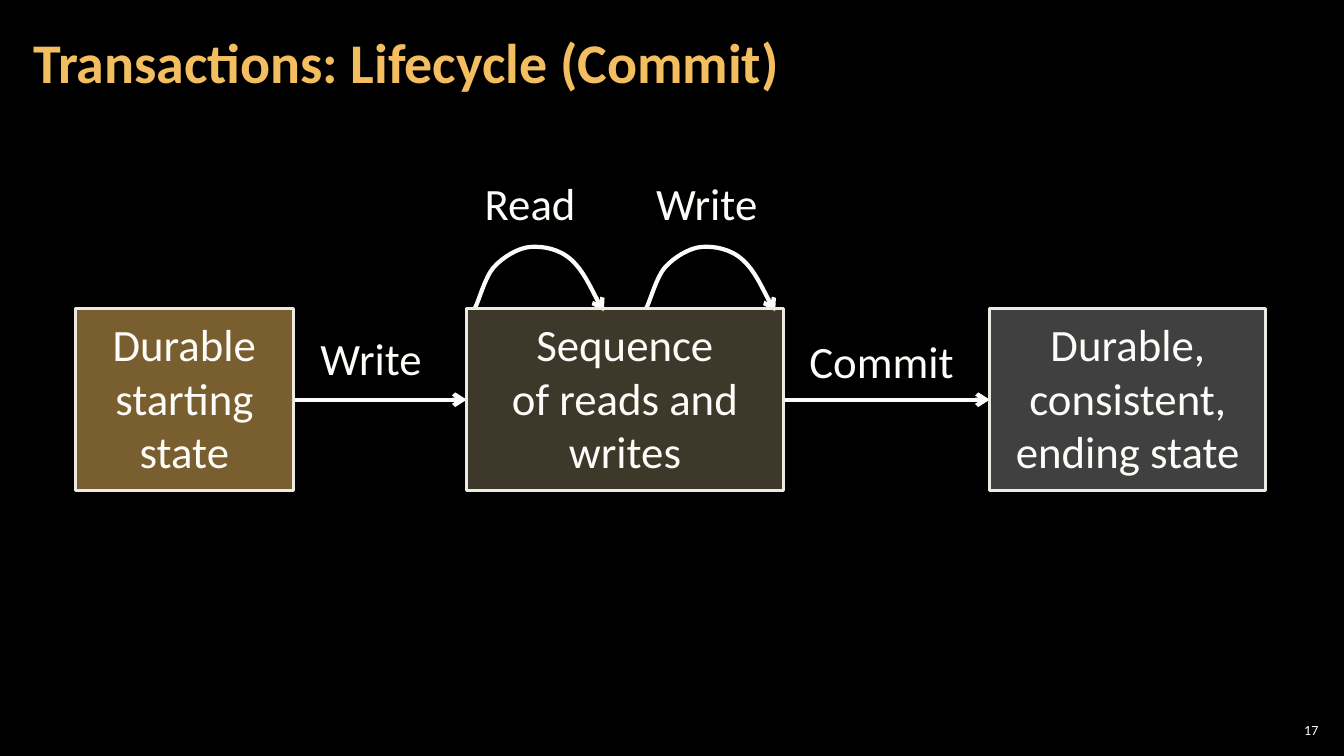
from lxml import etree
from pptx import Presentation
from pptx.dml.color import RGBColor
from pptx.enum.shapes import MSO_CONNECTOR, MSO_SHAPE
from pptx.enum.text import MSO_ANCHOR, PP_ALIGN
from pptx.oxml.ns import qn
from pptx.util import Pt

BLACK = RGBColor(0x00, 0x00, 0x00)
WHITE = RGBColor(0xFF, 0xFF, 0xFF)
CREAM = RGBColor(0xFE, 0xFC, 0xF8)
BORDER = RGBColor(0xEC, 0xEA, 0xE3)
GOLD = RGBColor(0xF3, 0xBE, 0x60)
OLIVE = RGBColor(0x7C, 0x71, 0x54)
GRAY = RGBColor(0x80, 0x80, 0x80)

RECTANGLE = MSO_SHAPE.RECTANGLE
STRAIGHT = MSO_CONNECTOR.STRAIGHT
TOP, MIDDLE = MSO_ANCHOR.TOP, MSO_ANCHOR.MIDDLE
LEFT, CENTER, RIGHT = PP_ALIGN.LEFT, PP_ALIGN.CENTER, PP_ALIGN.RIGHT

STATE_TOP, STATE_HEIGHT = 220.3, 130.4
LOOP_CURVE = [
    (2.9, -5), (7.2, -22.3), (13.7, -29.5),
    (20.2, -36.7), (31, -43.2), (39.6, -43.9),
    (49, -44.6), (60.5, -42.5), (69.1, -34.6),
    (77.8, -26.6), (87.1, -5.8), (92.2, 2.2),
]


def write_text(shape, text, size=32, color=CREAM, bold=False, align=LEFT,
               anchor=TOP, insets=(7.2, 3.6, 7.2, 3.6), wrap=True, spacing=1.0):
    """Fill a shape with text; a newline starts a paragraph, a vertical tab a line."""
    frame = shape.text_frame
    frame.text = text
    frame.word_wrap = wrap
    frame.vertical_anchor = anchor
    (frame.margin_left, frame.margin_top,
     frame.margin_right, frame.margin_bottom) = map(Pt, insets)
    for paragraph in frame.paragraphs:
        paragraph.alignment = align
        paragraph.line_spacing = spacing
        for run in paragraph.runs:
            run.font.name = "Calibri"
            run.font.size = Pt(size)
            run.font.bold = bold
            run.font.color.rgb = color


class LifecycleSlide:
    """Holds the line style and the slide, and draws each kind of element."""

    def __init__(self, presentation, arrow_width=3, border_width=2):
        """Add a black slide with a title placeholder."""
        self.slide = presentation.slides.add_slide(presentation.slide_layouts[5])
        self.shapes = self.slide.shapes
        self.arrow_width = arrow_width
        self.border_width = border_width
        background = self.slide.background.fill
        background.solid()
        background.fore_color.rgb = BLACK

    def title(self, text, left, top, width, height):
        """Place and format the title placeholder."""
        title = self.shapes.title
        title.left, title.top = Pt(left), Pt(top)
        title.width, title.height = Pt(width), Pt(height)
        write_text(title, text, size=40, color=GOLD, bold=True, anchor=MIDDLE,
                   insets=(8.64, 2.88, 8.64, 2.88), spacing=0.9)

    def label(self, text, left, top, width, height=46, **text_format):
        """Add a text box."""
        box = self.shapes.add_textbox(Pt(left), Pt(top), Pt(width), Pt(height))
        write_text(box, text, **text_format)

    def state(self, text, left, width, color, side_inset=7.2):
        """Add a half-transparent state box on the common row."""
        box = self.shapes.add_shape(
            RECTANGLE, Pt(left), Pt(STATE_TOP), Pt(width), Pt(STATE_HEIGHT))
        box.shadow.inherit = False
        box.fill.solid()
        box.fill.fore_color.rgb = color
        fill_color = box.element.spPr.find(qn("a:solidFill")).find(qn("a:srgbClr"))
        etree.SubElement(fill_color, qn("a:alpha"), val="50000")
        box.line.color.rgb = BORDER
        box.line.width = Pt(self.border_width)
        write_text(box, text, align=CENTER,
                   insets=(side_inset, 5.76, side_inset, 8.64))

    def style_arrow(self, shape):
        """Give a line its colour, width and open arrowhead."""
        shape.line.color.rgb = CREAM
        shape.line.width = Pt(self.arrow_width)
        outline = shape.element.spPr.find(qn("a:ln"))
        etree.SubElement(outline, qn("a:tailEnd"), type="arrow")

    def arrow(self, start, end):
        """Add a level arrow through the middle of the state row."""
        middle = Pt(STATE_TOP + STATE_HEIGHT / 2)
        connector = self.shapes.add_connector(
            STRAIGHT, Pt(start), middle, Pt(end), middle)
        self.style_arrow(connector)
        etree.SubElement(connector.element.spPr, qn("a:effectLst"))

    def loop(self, left):
        """Add a curved arrow that leaves and re-enters the top of a state."""
        builder = self.shapes.build_freeform(Pt(left), Pt(STATE_TOP))
        builder.add_line_segments(
            [(Pt(left + x), Pt(STATE_TOP + y)) for x, y in LOOP_CURVE], close=False)
        curve = builder.convert_to_shape()
        curve.shadow.inherit = False
        curve.fill.background()
        outline = next(curve.element.iter(qn("a:path")))
        segments = outline.findall(qn("a:lnTo"))
        for first in range(0, len(segments), 3):
            bezier = etree.SubElement(outline, qn("a:cubicBezTo"))
            for segment in segments[first:first + 3]:
                bezier.append(segment[0])
                outline.remove(segment)
        self.style_arrow(curve)


def main():
    """Build the transaction lifecycle slide."""
    presentation = Presentation()
    presentation.slide_width, presentation.slide_height = Pt(960), Pt(540)
    slide = LifecycleSlide(presentation)

    slide.title("Transactions: Lifecycle (Commit)", 15.1, 2.9, 753.8, 87.1)
    slide.label("Commit", 571, 234.7, 118.8, wrap=False)
    slide.arrow(209.5, 333.4)
    slide.arrow(559.4, 707)
    for text, left, width in (("Read", 339.1, 79.9), ("Write", 461.5, 87.8)):
        slide.loop(left)
        slide.label(text, left, 121.7, width, wrap=False)
    slide.label("Write", 221.8, 232.6, 87.8, wrap=False)

    slide.state("Durable starting state", 54, 155.5, GOLD)
    slide.state("Durable,\nconsistent,\nending state", 707, 197.3, GRAY, side_inset=8.64)
    slide.state("Sequence\vof reads and writes", 333.4, 226, OLIVE)
    slide.label("17", 910.8, 514.1, 33.8, 15.1, size=10, color=WHITE,
                align=RIGHT, anchor=MIDDLE, insets=(2.88,) * 4)

    presentation.save("out.pptx")


if __name__ == "__main__":
    main()
